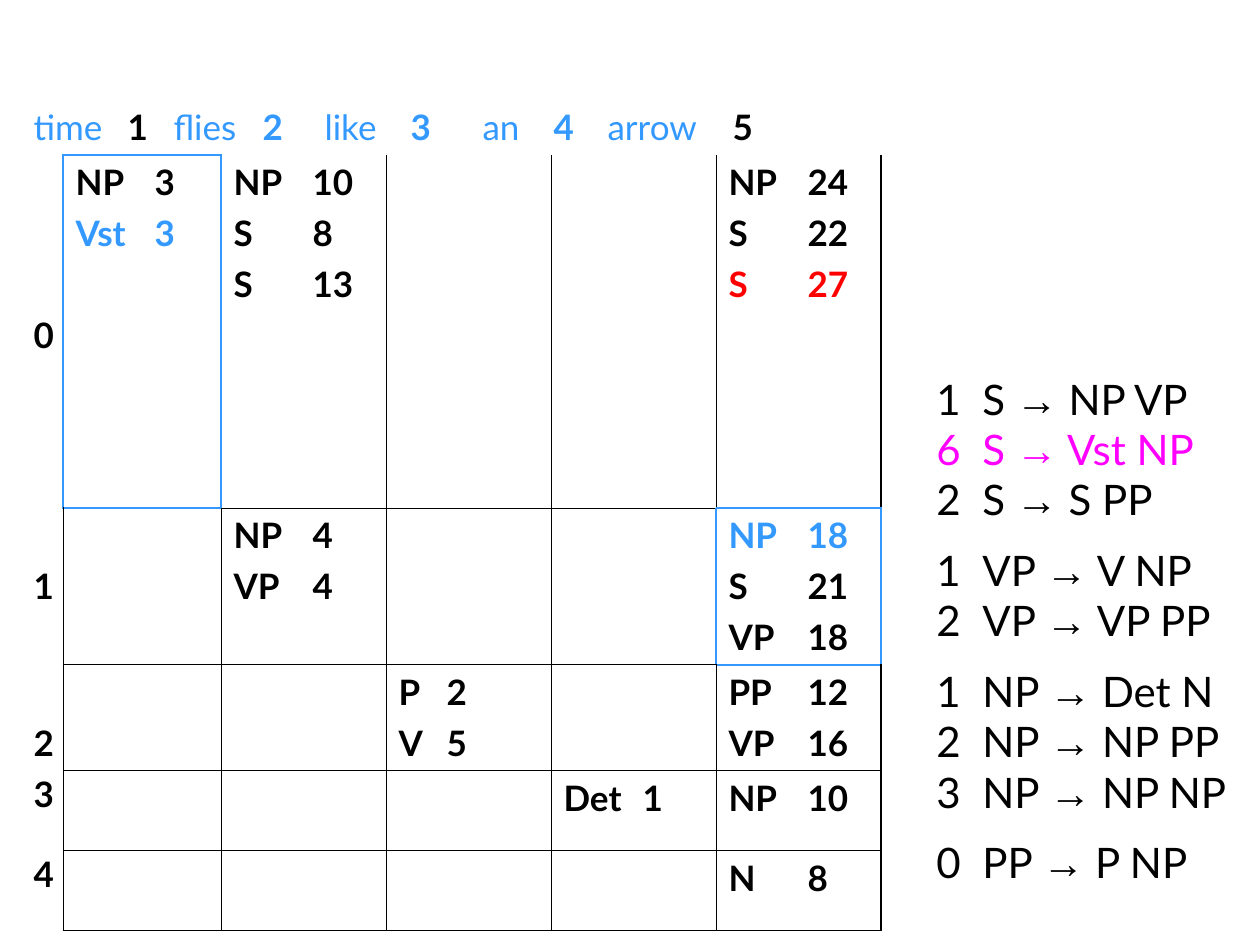
"""Build a slide with a weighted CKY parse chart and its grammar rules."""
from dataclasses import dataclass

from lxml import etree
from pptx import Presentation
from pptx.dml.color import RGBColor
from pptx.enum.text import MSO_AUTO_SIZE, PP_ALIGN
from pptx.oxml.ns import qn
from pptx.util import Pt

EMU_PER_PX = 914400 / 126
BLACK = RGBColor(0x00, 0x00, 0x00)
BLUE = RGBColor(0x33, 0x99, 0xFF)
RED = RGBColor(0xFF, 0x00, 0x00)
MAGENTA = RGBColor(0xFF, 0x00, 0xFF)
CENTER = PP_ALIGN.CENTER
GROW = MSO_AUTO_SIZE.SHAPE_TO_FIT_TEXT

CHART_FORMAT = {"name": "Lato", "size": Pt(20), "bold": True}
WORD_FORMAT = CHART_FORMAT | {"bold": False}
RULE_FORMAT = {"name": "Lato", "size": Pt(24)}
ARROW_FORMAT = RULE_FORMAT | {"name": "Arial"}
THIN, THICK = Pt(0.45), Pt(1.08)
SIDES = {"lnL": (0, -1), "lnR": (0, 1), "lnT": (-1, 0), "lnB": (1, 0)}


@dataclass(frozen=True)
class Entry:
    symbol: str
    weight: int
    color: RGBColor = BLACK


@dataclass(frozen=True)
class Token:
    word: str
    position: int
    color: RGBColor = BLUE


@dataclass(frozen=True)
class RowLabel:
    text: str
    line_spacing: float
    margin_top: int = 6


@dataclass(frozen=True)
class Rule:
    weight: int
    left: str
    right: str
    color: RGBColor = BLACK
    line_spacing: float = 1.0


COLUMN_WIDTHS = [42, 158] + [165] * 4
ROW_HEIGHTS = [55, 353, 156, 106, 80, 80]
LAST_ROW, LAST_COLUMN = len(ROW_HEIGHTS) - 1, len(COLUMN_WIDTHS) - 1
HIGHLIGHTED = {(1, 1), (2, 5)}
HEADER_TABS = [94, 140, 229, 291, 377, 449, 520, 574, 699]
WEIGHT_TAB, NARROW_WEIGHT_TAB, RULE_TAB = 79, 48, 46

TOKENS = [
    Token("time", 1, BLACK),
    Token("flies", 2),
    Token("like", 3),
    Token("an", 4),
    Token("arrow", 5, BLACK),
]
ROW_LABELS = [
    RowLabel("0", 1.0, 159),
    RowLabel("1", 2.2),
    RowLabel("2", 2.2),
    RowLabel("3", 0.9),
    RowLabel("4", 0.9),
]
ENTRIES = {
    (1, 1): [Entry("NP", 3), Entry("Vst", 3, BLUE)],
    (1, 2): [Entry("NP", 10), Entry("S", 8), Entry("S", 13)],
    (1, 5): [Entry("NP", 24), Entry("S", 22), Entry("S", 27, RED)],
    (2, 2): [Entry("NP", 4), Entry("VP", 4)],
    (2, 5): [Entry("NP", 18, BLUE), Entry("S", 21), Entry("VP", 18)],
    (3, 3): [Entry("P", 2), Entry("V", 5)],
    (3, 5): [Entry("PP", 12), Entry("VP", 16)],
    (4, 4): [Entry("Det", 1)],
    (4, 5): [Entry("NP", 10)],
    (5, 5): [Entry("N", 8)],
}
RULES = [
    Rule(1, "S", "NP VP"),
    Rule(6, "S", "Vst NP", MAGENTA),
    Rule(2, "S", "S PP"),
    Rule(1, "VP", "V NP", line_spacing=1.4),
    Rule(2, "VP", "VP PP"),
    Rule(1, "NP", "Det N", line_spacing=1.4),
    Rule(2, "NP", "NP PP"),
    Rule(3, "NP", "NP NP"),
    Rule(0, "PP", "P NP", line_spacing=1.4),
]


def px(length: int) -> int:
    return round(length * EMU_PER_PX)


def add_run(paragraph, text: str, color: RGBColor, format_values: dict) -> None:
    run = paragraph.add_run()
    run.text = text
    for name, value in format_values.items():
        setattr(run.font, name, value)
    run.font.color.rgb = color


def add_tabs(paragraph, positions: list[int]) -> None:
    tab_list = etree.SubElement(paragraph._p.get_or_add_pPr(), qn("a:tabLst"))
    for position in positions:
        etree.SubElement(tab_list, qn("a:tab"), pos=str(px(position)), algn="l")


def next_paragraph(text_frame, index: int):
    return text_frame.add_paragraph() if index else text_frame.paragraphs[0]


def border_for(row: int, column: int, side: str) -> tuple[int, RGBColor] | None:
    row_step, column_step = SIDES[side]
    neighbour = (row + row_step, column + column_step)
    if row == 0:
        return None
    if HIGHLIGHTED & {(row, column), neighbour}:
        return THICK, BLUE
    if neighbour[0] == 0 or (column == 0 and side != "lnR"):
        return None
    if neighbour[0] > LAST_ROW or neighbour[1] > LAST_COLUMN:
        return THICK, BLACK
    return THIN, BLACK


def style_cell(cell, row: int, column: int) -> None:
    properties = cell._tc.get_or_add_tcPr()
    for side in SIDES:
        border = border_for(row, column, side)
        width, color = border or (0, None)
        line = etree.SubElement(properties, qn(f"a:{side}"), w=str(int(width)))
        if border:
            fill = etree.SubElement(line, qn("a:solidFill"))
            etree.SubElement(fill, qn("a:srgbClr"), val=str(color))
        else:
            etree.SubElement(line, qn("a:noFill"))
    cell.fill.background()


def write_header(cell) -> None:
    paragraph = cell.text_frame.paragraphs[0]
    add_tabs(paragraph, HEADER_TABS)
    for index, token in enumerate(TOKENS):
        add_run(paragraph, ("\t" if index else "") + token.word, BLUE, WORD_FORMAT)
        add_run(paragraph, f"\t{token.position}", token.color, CHART_FORMAT)


def write_label(cell, label: RowLabel) -> None:
    cell.margin_top = px(label.margin_top)
    paragraph = cell.text_frame.paragraphs[0]
    paragraph.alignment = CENTER
    paragraph.line_spacing = label.line_spacing
    add_run(paragraph, label.text, BLACK, CHART_FORMAT)


def write_entries(cell, entries: list[Entry], tab: int) -> None:
    for index, entry in enumerate(entries):
        paragraph = next_paragraph(cell.text_frame, index)
        add_tabs(paragraph, [tab])
        if index:
            paragraph.space_before = Pt(5)
        add_run(paragraph, f"{entry.symbol}\t{entry.weight}", entry.color, CHART_FORMAT)


def add_parse_chart(slide) -> None:
    table = slide.shapes.add_table(
        len(ROW_HEIGHTS), len(COLUMN_WIDTHS),
        px(21), px(100), px(sum(COLUMN_WIDTHS)), px(sum(ROW_HEIGHTS)),
    ).table
    table.first_row = table.horz_banding = False
    for column, width in zip(table.columns, COLUMN_WIDTHS):
        column.width = px(width)
    for row, height in zip(table.rows, ROW_HEIGHTS):
        row.height = px(height)
    for row in range(LAST_ROW + 1):
        for column in range(LAST_COLUMN + 1):
            style_cell(table.cell(row, column), row, column)
    table.cell(0, 0).merge(table.cell(0, LAST_COLUMN))
    write_header(table.cell(0, 0))
    for row, label in enumerate(ROW_LABELS, 1):
        write_label(table.cell(row, 0), label)
    for (row, column), entries in ENTRIES.items():
        tab = NARROW_WEIGHT_TAB if column == 3 else WEIGHT_TAB
        write_entries(table.cell(row, column), entries, tab)


def add_grammar(slide) -> None:
    text_frame = slide.shapes.add_textbox(px(924), px(367), px(336), px(527)).text_frame
    text_frame.word_wrap = True
    text_frame.auto_size = GROW
    for index, rule in enumerate(RULES):
        paragraph = next_paragraph(text_frame, index)
        add_tabs(paragraph, [RULE_TAB])
        paragraph.line_spacing = rule.line_spacing
        add_run(paragraph, f"{rule.weight}\t{rule.left} ", rule.color, RULE_FORMAT)
        add_run(paragraph, "→", rule.color, ARROW_FORMAT)
        add_run(paragraph, f" {rule.right}", rule.color, RULE_FORMAT)


def main() -> None:
    presentation = Presentation()
    presentation.slide_width, presentation.slide_height = px(1260), px(945)
    slide = presentation.slides.add_slide(presentation.slide_layouts[6])
    add_parse_chart(slide)
    add_grammar(slide)
    presentation.save("out.pptx")


if __name__ == "__main__":
    main()
